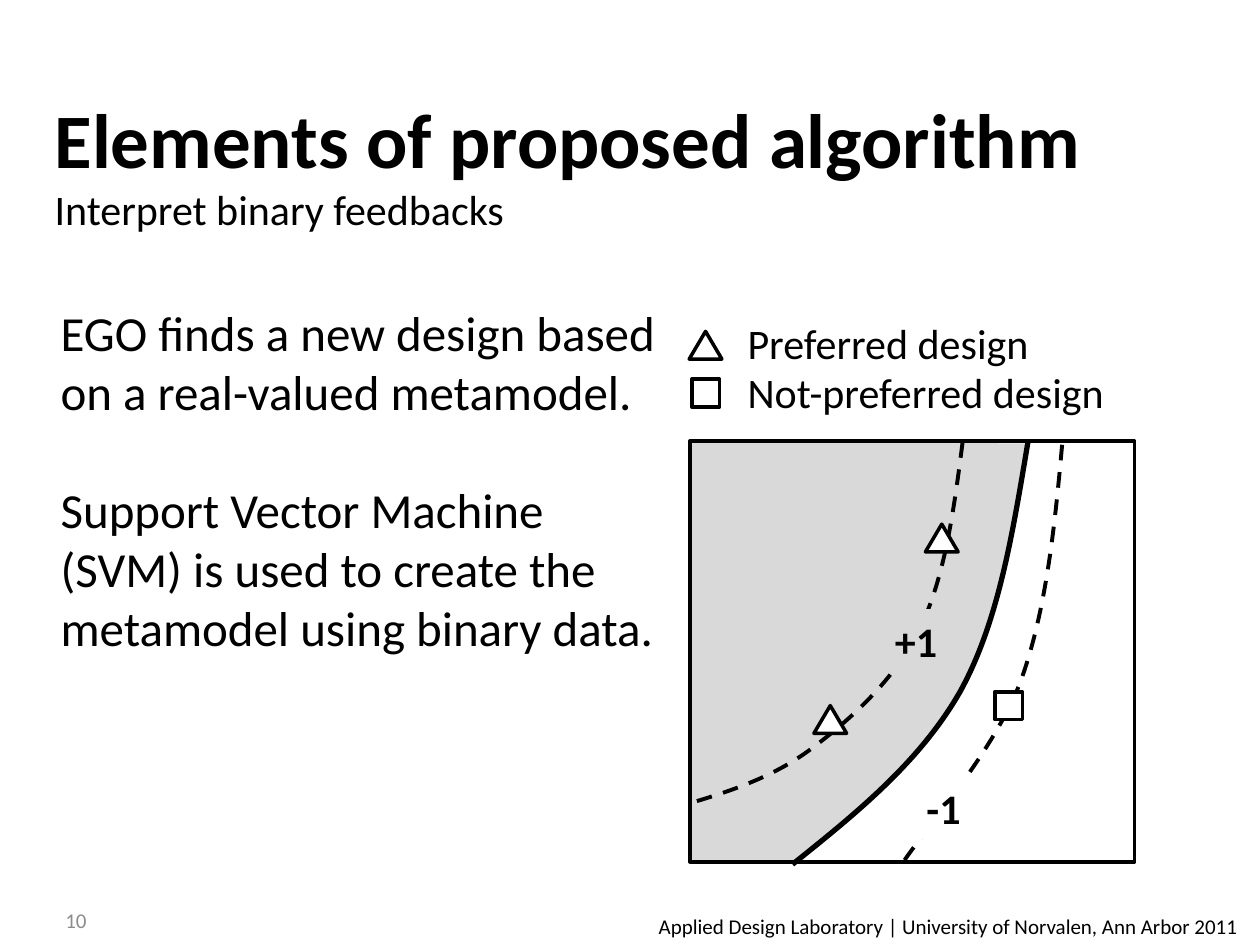
from lxml import etree
from pptx import Presentation
from pptx import util as u
from pptx.dml.color import RGBColor
from pptx.enum import dml, shapes, text
from pptx.oxml import ns

# The slide is a grid of 100 columns by 75 rows; all places are in grid cells.
COLS, ROWS = 100, 75
CELL = u.Inches(0.1)
THEME = {
    "font": "Calibri",
    "ink": "000000", "mute": "8C8C8C", "paper": "FFFFFF", "shade": "D9D9D9",
    "title": 44, "body": 28, "label": 24, "small": 12,
    "edge": 2, "margin": 2.25, "bound": 3,
}

# Paragraphs: (words, size, bold, space before in points)
TITLE = [("Elements of proposed algorithm", "title", True, 0),
         ("Interpret binary feedbacks", "label", False, 0)]
BODY = [("EGO finds a new design based on a real-valued metamodel.", "body", False, 0),
        ("Support Vector Machine (SVM) is used to create the metamodel "
         "using binary data.", "body", False, 34)]
FOOTER = [("Applied Design Laboratory | University of Norvalen, Ann Arbor 2011",
           "small", False, 0)]
NUMBER = [("10", "small", False, 0)]

FRAME = (54.75, 35, 35.3, 33.4)
REGION = [(81.7, 35.2), (63.3, 68.5), (54.9, 68.4), (54.9, 35)]

# Curves: a start, then three points for each Bezier piece
BOUND = [(81.6, 35), (80.4, 42.1), (79.3, 49.3), (76.2, 54.9),
         (73, 60.5), (67.9, 64.6), (62.9, 68.6)]
PLUS = [(76.4, 35.1), (75.7, 40.5), (75, 45.8), (73, 49.9),
        (71, 54), (67.4, 57.2), (64.3, 59.5),
        (61.2, 61.8), (57.6, 62.9), (54.6, 63.8)]
MINUS = [(84.3, 35.3), (83.7, 42), (83, 48.6), (81, 54.1),
         (78.9, 59.6), (73.6, 65.6), (71.7, 68.4)]

MARKS = {"good": (shapes.MSO_SHAPE.ISOSCELES_TRIANGLE, 2.6, 2.2),
         "bad": (shapes.MSO_SHAPE.RECTANGLE, 2.2, 2.2)}
# Legend: kind, words, middle of the marker, top of the words, width
LEGEND = [("good", "Preferred design", 27.4, 24.7, 24.6),
          ("bad", "Not-preferred design", 31.2, 28.6, 30.7)]
KEY, WORDS = 56, 58.35
POINTS = [("good", 65.9, 57.1), ("good", 74.75, 42.7), ("bad", 80.05, 56)]
VALUES = [("+1", 70.05, 48.35, "shade"), ("-1", 72.55, 61.6, "paper")]

deck = Presentation()
deck.slide_width, deck.slide_height = COLS * CELL, ROWS * CELL
slide = deck.slides.add_slide(deck.slide_layouts[6])


def cells(*nums):
    return [round(n * CELL) for n in nums]


def tint(name):
    return RGBColor.from_string(THEME[name])


def style(item, fill=None, line=None, dash=False):
    item.shadow.inherit = False
    if fill:
        item.fill.solid()
        item.fill.fore_color.rgb = tint(fill)
    else:
        item.fill.background()
    if line:
        item.line.color.rgb = tint("ink")
        item.line.width = u.Pt(THEME[line])
        if dash:
            item.line.dash_style = dml.MSO_LINE.DASH
    else:
        item.line.fill.background()


def write(item, paras, color="ink", wrap=True, mid=False):
    frame = item.text_frame
    frame.word_wrap = wrap
    frame.vertical_anchor = text.MSO_ANCHOR.MIDDLE if mid else text.MSO_ANCHOR.TOP
    for i, (words, size, bold, gap) in enumerate(paras):
        para = frame.add_paragraph() if i else frame.paragraphs[0]
        para.text = words
        para.alignment = text.PP_ALIGN.LEFT
        para.space_before = u.Pt(gap)
        font = para.font
        font.name, font.size, font.bold = THEME["font"], u.Pt(THEME[size]), bold
        font.color.rgb = tint(color)


def label(home, box, paras, **how):
    write(home.add_textbox(*cells(*box)), paras, **how)


def block(kind, box, **look):
    item = plot.add_shape(kind, *cells(*box))
    style(item, **look)
    return item


def mark(name, x, y):
    """Draw a design marker centred at x, y."""
    kind, w, h = MARKS[name]
    block(kind, (x - w / 2, y - h / 2, w, h), fill="paper", line="edge")


def trace(pts, close=False, **look):
    pts = [cells(*pt) for pt in pts]
    pen = plot.build_freeform(*pts[0])
    pen.add_line_segments(pts[1:], close=close)
    item = pen.convert_to_shape()
    style(item, **look)
    return item


def curve(pts, **look):
    """Trace the points, then turn each three line pieces into one Bezier."""
    lines = list(trace(pts, **look).element.iter(ns.qn("a:lnTo")))
    for i in range(0, len(lines), 3):
        arc = etree.Element(ns.qn("a:cubicBezTo"))
        lines[i].addprevious(arc)
        for line in lines[i:i + 3]:
            arc.append(line[0])
            line.getparent().remove(line)


label(slide.shapes, (51.3, 72, 48.7, 3), FOOTER, wrap=False)
label(slide.shapes, (3.83, 23.5, 50.3, 29.3), BODY)
label(slide.shapes, (4.2, 71, 23.3, 4), NUMBER, color="mute", mid=True)
label(slide.shapes, (3.35, 0.8, 90, 24.2), TITLE, mid=True)

plot = slide.shapes.add_group_shape().shapes
trace(REGION, close=True, fill="shade")
block(shapes.MSO_SHAPE.RECTANGLE, FRAME, line="edge")
for name, words, mid, top, wide in LEGEND:
    mark(name, KEY, mid)
    label(plot, (WORDS, top, wide, 5), [(words, "label", False, 0)], wrap=False)
curve(BOUND, fill="shade", line="bound")
for pts in (PLUS, MINUS):
    curve(pts, line="margin", dash=True)
for point in POINTS:
    mark(*point)
for words, x, y, fill in VALUES:
    write(block(shapes.MSO_SHAPE.RECTANGLE, (x, y, 6.6, 5), fill=fill),
          [(words, "label", True, 0)])

deck.save("out.pptx")
